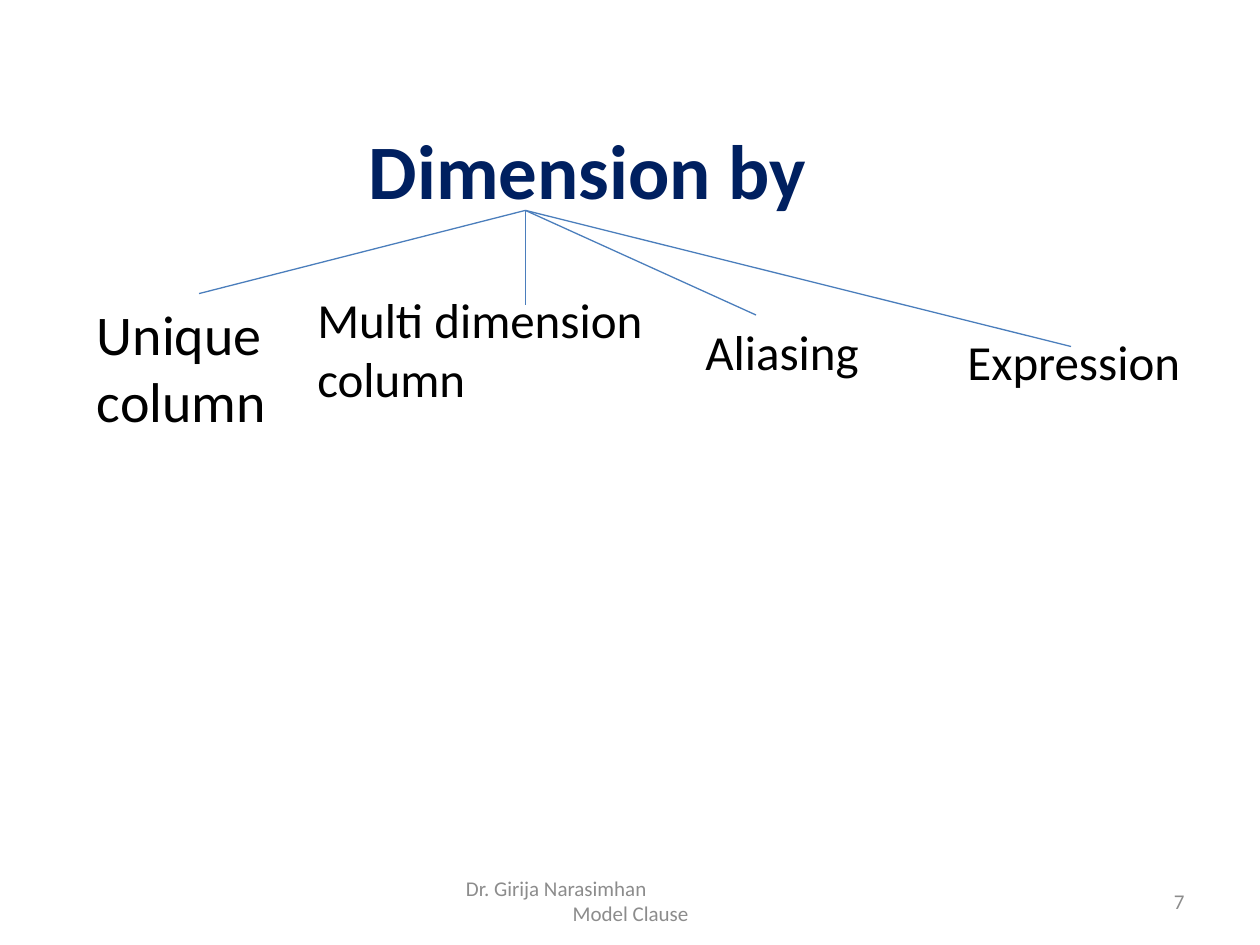
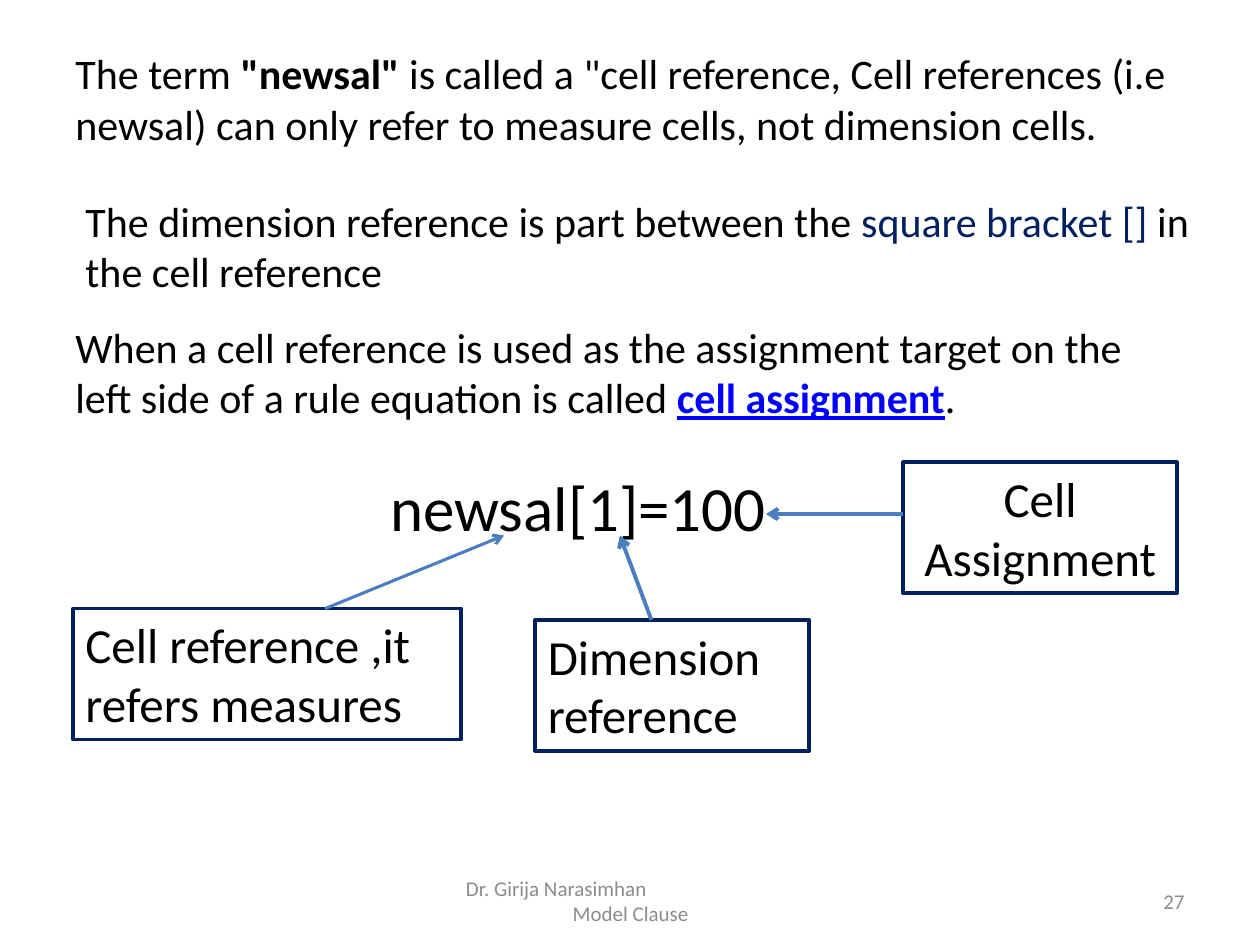
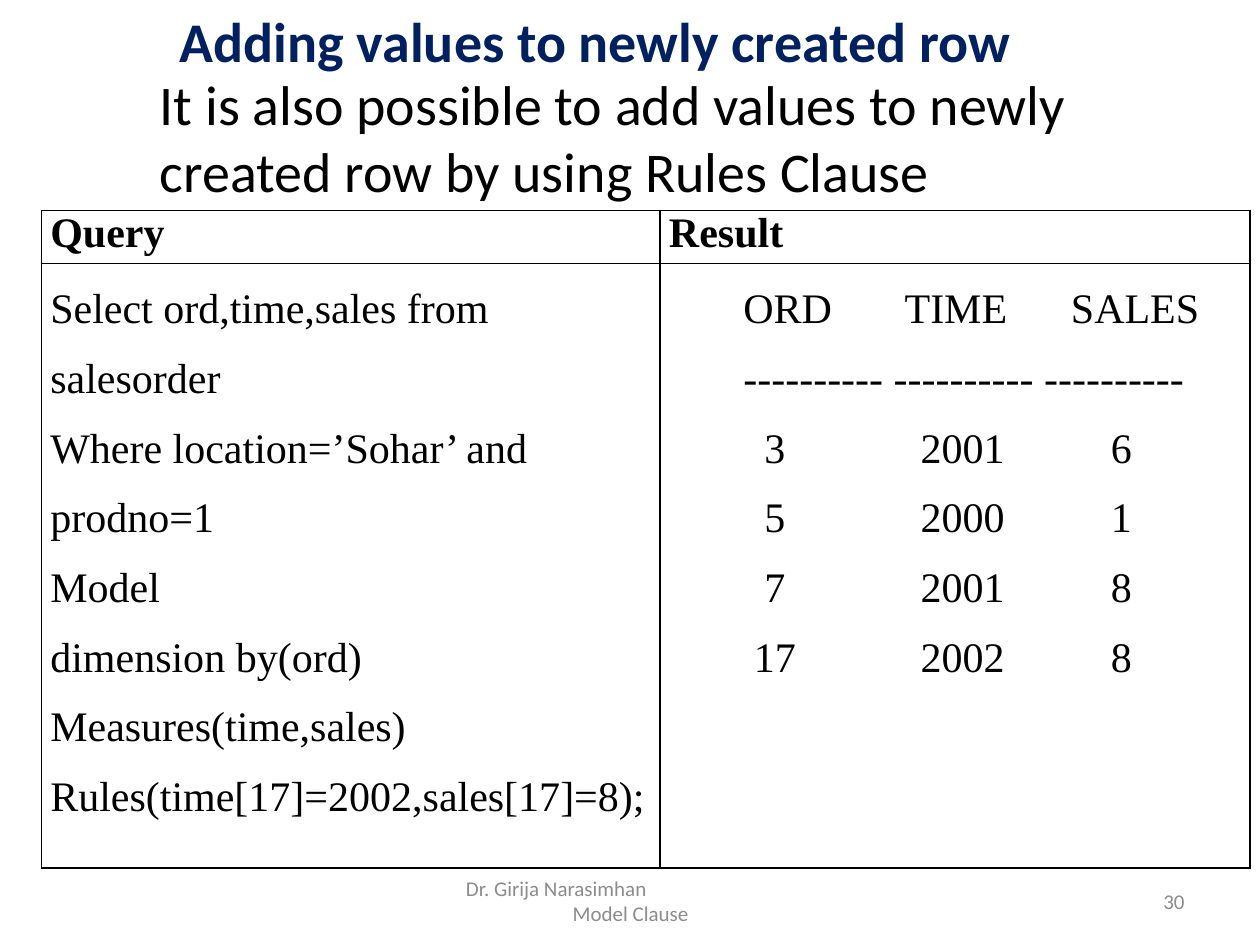
from lxml.etree import SubElement
from pptx import Presentation
from pptx.dml.color import RGBColor
from pptx.enum.shapes import MSO_CONNECTOR
from pptx.enum.text import MSO_ANCHOR, MSO_AUTO_SIZE, PP_ALIGN
from pptx.oxml import parse_xml
from pptx.oxml.ns import nsdecls, qn
from pptx.util import Inches, Pt

COLORS = {"text": "000000", "navy": "002060", "link": "0000FF",
          "line": "4B7EBC", "footer": "8C8C8C"}
BODY_FONT = "Calibri"
TABLE_FONT = "Times New Roman"


def add_text(page, place, text, size, color="text", bold=False,
             align=PP_ALIGN.LEFT, wrap=True, outlined=False):
    """Add a text box; text is a string or a list of (words, colour, emphasis)."""
    box = page.shapes.add_textbox(*map(Inches, place))
    frame = box.text_frame
    frame.word_wrap = wrap
    frame.auto_size = MSO_AUTO_SIZE.SHAPE_TO_FIT_TEXT
    if outlined:
        box.line.color.rgb = RGBColor.from_string(COLORS["navy"])
        box.line.width = Pt(2.25)
    para = frame.paragraphs[0]
    para.alignment = align
    para.font.name = BODY_FONT
    para.font.size = Pt(size)
    pieces = [(text, color, bold)] if isinstance(text, str) else text
    for words, tint, emphasis in pieces:
        span = para.add_run()
        span.text = words
        span.font.name = BODY_FONT
        span.font.size = Pt(size)
        span.font.bold = emphasis
        span.font.underline = tint == "link"
        span.font.color.rgb = RGBColor.from_string(COLORS[tint])
    return box


def add_line(page, start, end, width, arrow=False):
    line = page.shapes.add_connector(
        MSO_CONNECTOR.STRAIGHT, *map(Inches, start + end))
    line.line.color.rgb = RGBColor.from_string(COLORS["line"])
    line.line.width = Pt(width)
    if arrow:
        SubElement(line.line._get_or_add_ln(), qn("a:tailEnd"), type="arrow")
    SubElement(line._element.spPr, qn("a:effectLst"))


deck = Presentation()
deck.slide_width = Inches(10)
deck.slide_height = Inches(7.5)

# Pages with their shared footer
pages = []
for number in (7, 27, 30):
    page = deck.slides.add_slide(deck.slide_layouts[6])
    footer = add_text(page, (3.42, 6.95, 3.17, 0.4),
                      "Dr. Girija Narasimhan", 12, "footer")
    footer.text_frame.paragraphs[0]._p.get_or_add_pPr().set(
        "marL", str(Inches(0.18)))
    subject = footer.text_frame.add_paragraph()
    subject.text = "Model Clause"
    subject.alignment = PP_ALIGN.CENTER
    subject.font.name = BODY_FONT
    subject.font.size = Pt(12)
    subject.font.color.rgb = RGBColor.from_string(COLORS["footer"])
    page_number = add_text(page, (7.17, 6.95, 2.33, 0.4), str(number), 12,
                           "footer", align=PP_ALIGN.RIGHT)
    for box in (footer, page_number):
        box.text_frame.auto_size = MSO_AUTO_SIZE.NONE
        box.text_frame.vertical_anchor = MSO_ANCHOR.MIDDLE
    pages.append(page)
dimension_page, reference_page, row_page = pages

# Dimension by: a root with four branches
add_text(dimension_page, (2.83, 0.92, 4.17, 0.84), "Dimension by", 44,
         "navy", bold=True)
branches = [
    ("Unique column", (0.67, 2.33, 2.92, 1.18), 32, (1.58, 2.33)),
    ("Multi dimension column", (2.42, 2.25, 2.83, 1.04), 28, (4.17, 2.42)),
    ("Aliasing", (5.5, 2.5, 1.58, 0.57), 28, (6, 2.5)),
    ("Expression", (7.58, 2.58, 2.08, 0.57), 28, (8.5, 2.75)),
]
for label, place, size, tip in branches:
    add_text(dimension_page, place, label, size)
    add_line(dimension_page, (4.17, 1.67), tip, 0.75)

# Cell references: explanations, then the labelled expression
add_text(reference_page, (0.5, 0.33, 9.25, 0.91), [
    ("The term ", "text", False),
    ('"newsal"', "text", True),
    (' is called a "cell reference, Cell references (i.e newsal) can only '
     "refer to measure cells, not dimension cells.", "text", False)], 24)
add_text(reference_page, (0.58, 1.5, 9, 0.91), [
    ("The dimension reference is part between the ", "text", False),
    ("square bracket [] ", "navy", False),
    ("in the cell reference", "text", False)], 24)
add_text(reference_page, (0.5, 2.5, 8.67, 0.91), [
    ("When a cell reference is used as the assignment target on the left "
     "side of a rule equation is called ", "text", False),
    ("cell assignment", "link", True),
    (".", "text", False)], 24)
add_text(reference_page, (3, 3.67, 3.21, 0.71), "newsal[1]=100", 36, wrap=False)
callouts = [
    ("Cell reference ,it refers measures", (0.58, 4.83, 3.08, 1.04),
     PP_ALIGN.LEFT, (2.58, 4.83), (4, 4.25), 1.75),
    ("Dimension reference", (4.25, 4.92, 2.17, 1.04),
     PP_ALIGN.LEFT, (5.17, 4.92), (4.92, 4.25), 2.25),
    ("Cell Assignment", (7.17, 3.67, 2.17, 1.04),
     PP_ALIGN.CENTER, (7.17, 4.08), (6.08, 4.08), 2.25),
]
for label, place, align, start, end, width in callouts:
    add_text(reference_page, place, label, 28, align=align, outlined=True)
    add_line(reference_page, start, end, width, arrow=True)

# Adding values: query and result table
add_text(row_page, (1.33, 0, 6.85, 0.64), "Adding values to newly created row",
         32, "navy", bold=True, wrap=False)
add_text(row_page, (1.17, 0.5, 7.75, 1.18),
         "It is also possible to add values to newly created row by using "
         "Rules Clause", 32)

query = ["Select ord,time,sales from salesorder",
         "Where location=’Sohar’ and prodno=1",
         "Model",
         "dimension by(ord)",
         "Measures(time,sales)",
         "Rules(time[17]=2002,sales[17]=8);"]
result = ["\tORD\tTIME\tSALES",
          "\t---------- ---------- ----------",
          "\t3\t2001\t6",
          "\t5\t2000\t1",
          "\t7\t2001\t8",
          "\t17\t2002\t8"]
heading_stops = ("l", (0.59, 1.87, 3.19))
value_stops = ("ctr", (0.84, 2.33, 3.59))

table = row_page.shapes.add_table(
    2, 2, Inches(0.33), Inches(1.67), Inches(9.59), Inches(5.22)).table
table.first_row = False
table.horz_banding = False
for column, width in zip(table.columns, (4.91, 4.68)):
    column.width = Inches(width)
for row, height in zip(table.rows, (0.42, 4.8)):
    row.height = Inches(height)

contents = [[["Query"], ["Result"]], [query, result]]
for row_index, row in enumerate(contents):
    for column_index, lines in enumerate(row):
        cell = table.cell(row_index, column_index)
        cell.margin_left = cell.margin_right = Inches(0.07)
        cell.margin_top = cell.margin_bottom = 0
        cell.fill.background()
        for position, side in enumerate(("lnL", "lnR", "lnT", "lnB")):
            cell._tc.tcPr.insert(position, parse_xml(
                f'<a:{side} {nsdecls("a")} w="12700"><a:solidFill>'
                f'<a:srgbClr val="{COLORS["text"]}"/></a:solidFill></a:{side}>'))
        cell.text = "\n".join(lines)
        for line_index, para in enumerate(cell.text_frame.paragraphs):
            para.font.name = TABLE_FONT
            para.font.size = Pt(24)
            para.font.bold = row_index == 0
            para.font.color.rgb = RGBColor.from_string(COLORS["text"])
            if row_index == 1:
                para.line_spacing = 1.5
            if lines is result:
                align, stops = heading_stops if line_index < 2 else value_stops
                tabs = "".join(f'<a:tab pos="{Inches(stop)}" algn="{align}"/>'
                               for stop in stops)
                para._p.pPr.find(qn("a:defRPr")).addprevious(parse_xml(
                    f'<a:tabLst {nsdecls("a")}>{tabs}</a:tabLst>'))

deck.save("out.pptx")
